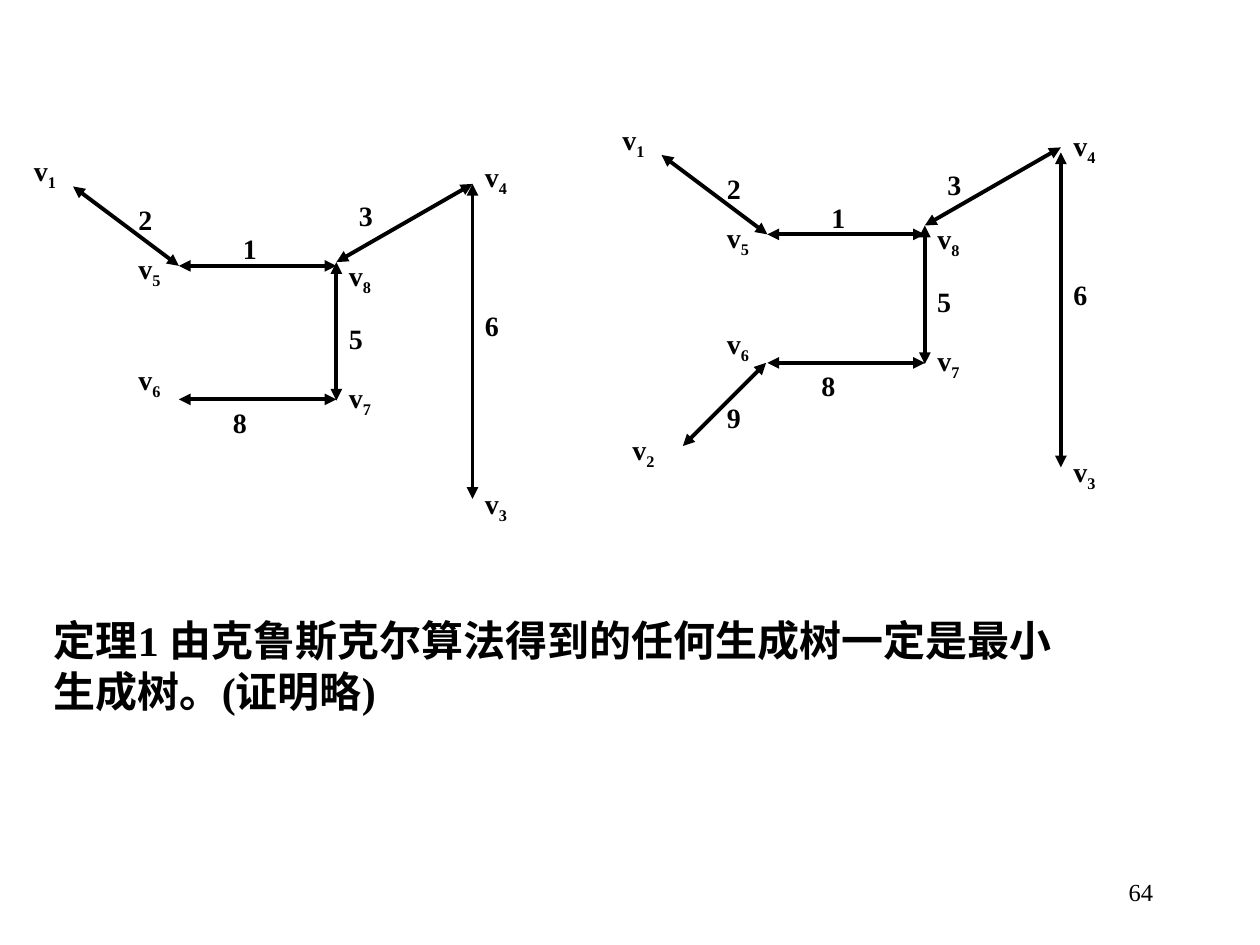
"""Build the slide comparing two steps of Kruskal's algorithm."""
from lxml import etree
from pptx import Presentation
from pptx.dml.color import RGBColor
from pptx.enum.shapes import MSO_CONNECTOR
from pptx.enum.text import MSO_ANCHOR, PP_ALIGN
from pptx.oxml.ns import qn
from pptx.util import Inches, Pt

BLACK = RGBColor(0, 0, 0)
FONT = "Times New Roman"
STRAIGHT = MSO_CONNECTOR.STRAIGHT
TOP, MIDDLE = MSO_ANCHOR.TOP, MSO_ANCHOR.MIDDLE
LEFT, RIGHT = PP_ALIGN.LEFT, PP_ALIGN.RIGHT

UPPER_NODES = {"1": (0.17, 1.17), "3": (3.75, 3.81),
               "4": (3.75, 1.22), "5": (1, 1.95)}
LOWER_NODES = {"6": (1, 2.83), "7": (2.67, 2.97), "8": (2.67, 2)}
UPPER_WEIGHTS = {"1": (1.83, 1.79, 0.43), "2": (1, 1.56, 0.43),
                 "3": (2.75, 1.53, 0.43), "6": (3.75, 2.4, 0.43)}
LOWER_WEIGHTS = {"5": (2.67, 2.5, 0.43), "8": (1.75, 3.17, 0.52)}
UPPER_EDGES = [(1.42, 2.11, 2.67, 2.11), (3.75, 1.46, 3.75, 3.96),
               (0.58, 1.48, 1.42, 2.11)]
LOWER_EDGES = [(2.67, 2.08, 2.67, 3.18), (3.75, 1.46, 2.67, 2.08),
               (1.42, 3.17, 2.67, 3.17)]
UPPER_BRANCH = (UPPER_NODES, UPPER_WEIGHTS, UPPER_EDGES)
LOWER_BRANCH = (LOWER_NODES, LOWER_WEIGHTS, LOWER_EDGES)
NEW_BRANCH = ({"2": (4.92, 3.38)}, {"9": (5.67, 3.13, 0.52)},
              [(6.08, 2.88, 5.42, 3.54)])


class TreeSlide:
    """Hold the text and line style together with the current slide."""

    def __init__(self, page):
        self.page = page
        self.label_size = 16
        self.line_width = Pt(2.25)

    def text(self, shapes, frame, words, size, bold=True, align=LEFT, anchor=TOP):
        box = shapes.add_textbox(*map(Inches, frame))
        box.text_frame.word_wrap = True
        box.text_frame.vertical_anchor = anchor
        para = box.text_frame.paragraphs[0]
        para.alignment = align
        para.font.name = FONT
        para.font.size = Pt(size)
        para.font.bold = bold
        para.font.color.rgb = BLACK
        para.add_run().text = words
        return para

    def node(self, shapes, number, left, top):
        para = self.text(shapes, (left, top, 0.52, 0.41), "v", self.label_size)
        span = para.add_run()
        span.text = number
        span.font._element.set("baseline", "-25000")

    def weight(self, shapes, number, left, top, width):
        self.text(shapes, (left, top, width, 0.37), number, self.label_size)

    def edge(self, shapes, *ends):
        connector = shapes.add_connector(STRAIGHT, *map(Inches, ends))
        connector.line.color.rgb = BLACK
        connector.line.width = self.line_width
        outline = connector.line._get_or_add_ln()
        for end in ("a:headEnd", "a:tailEnd"):
            etree.SubElement(outline, qn(end), type="triangle")
        etree.SubElement(connector._element.spPr, qn("a:effectLst"))

    def branch(self, shapes, content, dx=0, dy=0):
        nodes, weights, edges = content
        for x1, y1, x2, y2 in edges:
            self.edge(shapes, x1 + dx, y1 + dy, x2 + dx, y2 + dy)
        for number, (left, top) in nodes.items():
            self.node(shapes, number, left + dx, top + dy)
        for number, (left, top, width) in weights.items():
            self.weight(shapes, number, left + dx, top + dy, width)

    def tree(self, *placed_branches):
        shapes = self.page.shapes.add_group_shape().shapes
        for placed in placed_branches:
            self.branch(shapes, *placed)


def main():
    deck = Presentation()
    deck.slide_width, deck.slide_height = Inches(10), Inches(7.5)
    slide = TreeSlide(deck.slides.add_slide(deck.slide_layouts[6]))
    shapes = slide.page.shapes
    slide.text(shapes, (7.17, 6.83, 2.08, 0.5), "64", 14,
               bold=False, align=RIGHT, anchor=MIDDLE)
    slide.tree((UPPER_BRANCH,), (LOWER_BRANCH,))
    slide.tree((UPPER_BRANCH, 4.67, -0.25), (LOWER_BRANCH, 4.67, -0.29),
               (NEW_BRANCH,))
    slide.text(shapes, (0.33, 4.83, 8.25, 0.9),
               "定理1 由克鲁斯克尔算法得到的任何生成树一定是最小生成树。(证明略)", 24)
    deck.save("out.pptx")


if __name__ == "__main__":
    main()
